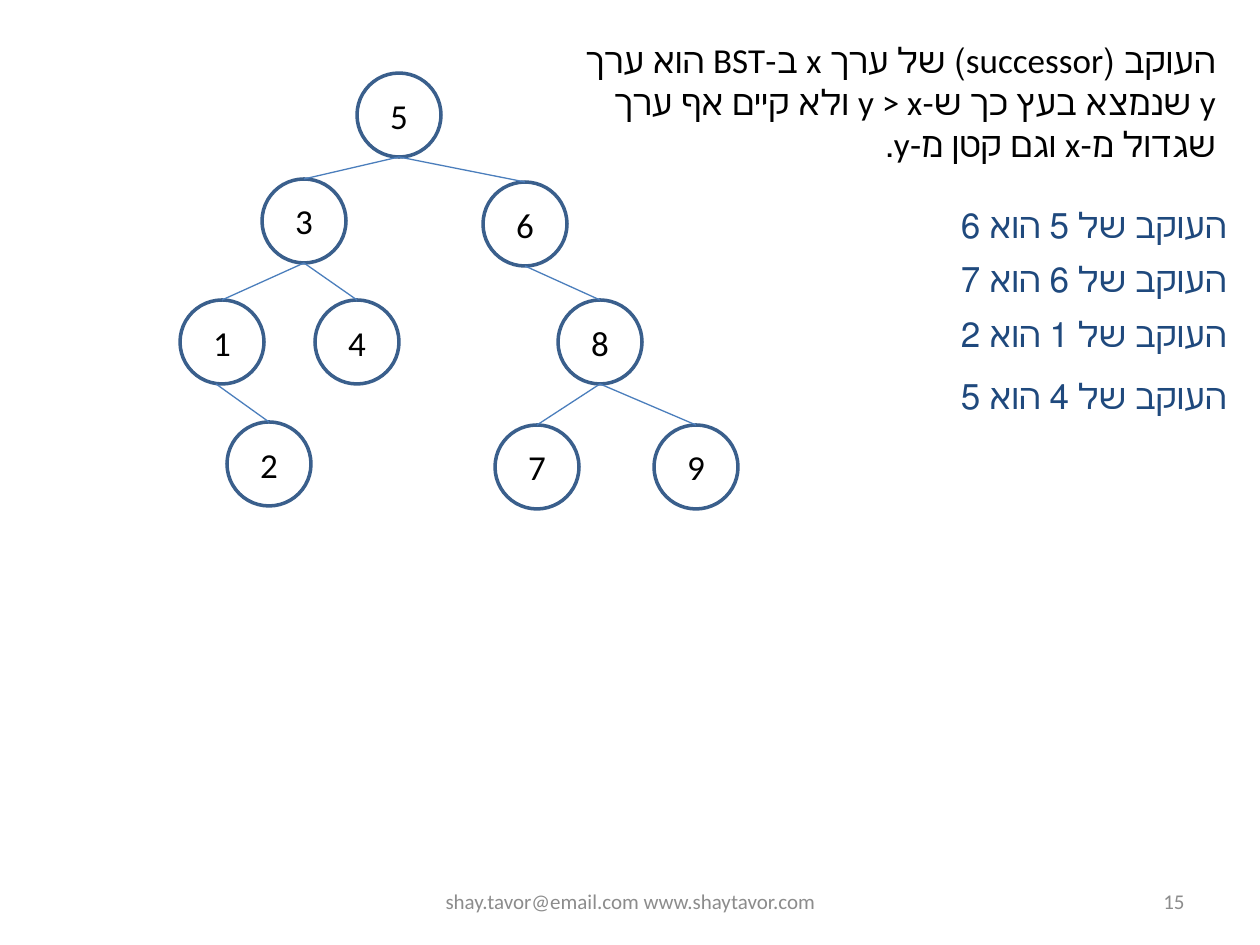
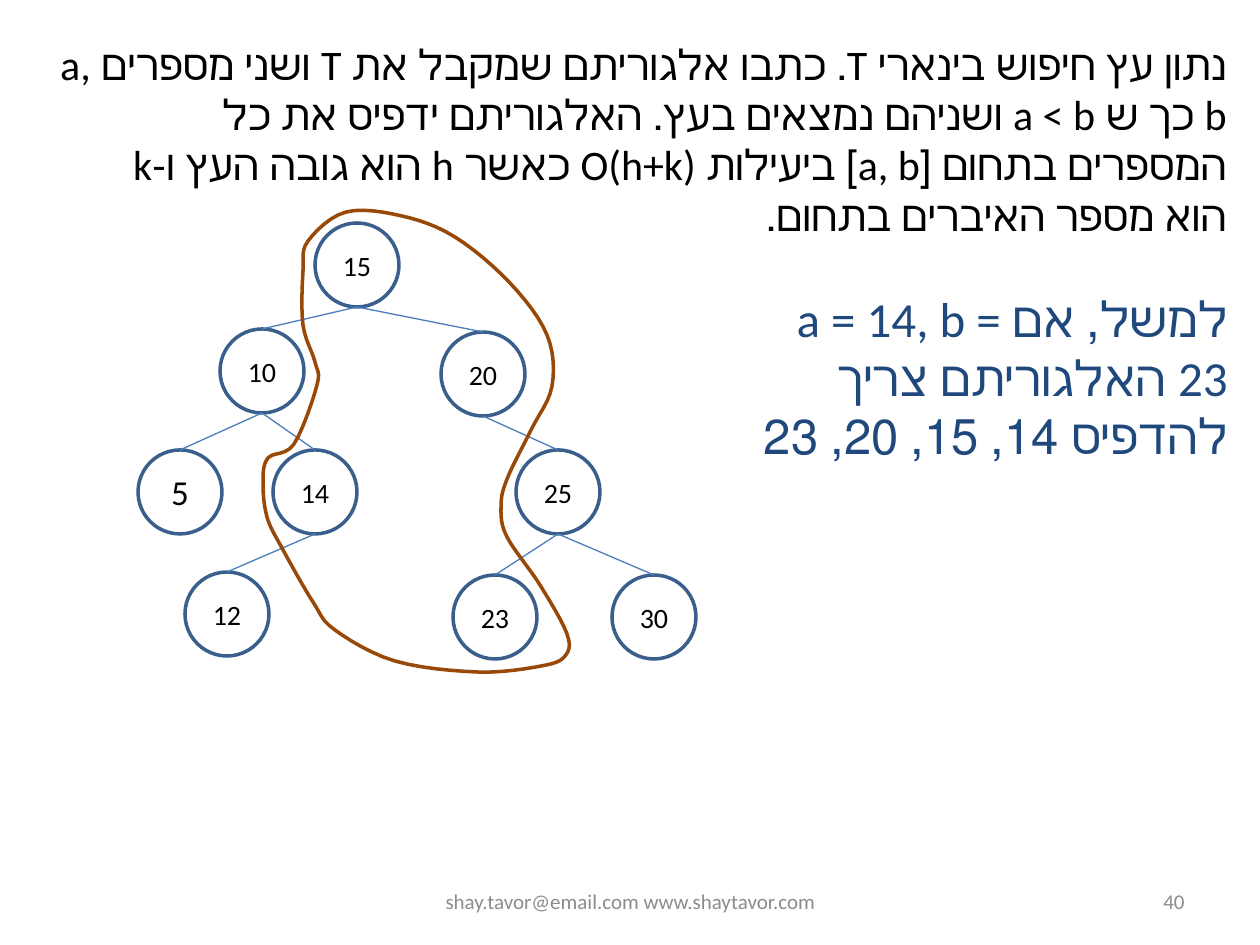
from lxml import etree
from pptx import Presentation
from pptx.dml.color import RGBColor
from pptx.enum.shapes import MSO_CONNECTOR, MSO_SHAPE
from pptx.enum.text import MSO_ANCHOR, MSO_AUTO_SIZE, PP_ALIGN
from pptx.oxml.ns import qn
from pptx.util import Pt

EMU_PER_PX = 914400 / 126
OVAL = MSO_SHAPE.OVAL
STRAIGHT = MSO_CONNECTOR.STRAIGHT
TOP, MIDDLE = MSO_ANCHOR.TOP, MSO_ANCHOR.MIDDLE
CENTER, RIGHT = PP_ALIGN.CENTER, PP_ALIGN.RIGHT
GROW = MSO_AUTO_SIZE.SHAPE_TO_FIT_TEXT

FONT = "Calibri"
BLACK, GREY, NAVY = "000000", "8C8C8C", "1F497D"
NODE_LINE, EDGE_LINE, LOOP_LINE = "3A5F8C", "4B7EBC", "984807"
FOOTER = "shay.tavor@email.com www.shaytavor.com"

NODE_SIZE = 84
NODE_SPOTS = {
    "root": (177, 0),
    "left": (82, 106),
    "right": (303, 109),
    "left_left": (0, 227),
    "left_right": (135, 227),
    "right_right": (378, 227),
    "low": (47, 349),
    "low_left": (315, 352),
    "low_right": (474, 352),
}
EDGES = [
    ("root", "left"), ("root", "right"),
    ("left", "left_left"), ("left", "left_right"),
    ("right", "right_right"),
    ("right_right", "low_left"), ("right_right", "low_right"),
]

LOOP_SIDES = {
    "over_root": [(45, 29), (83, 0), (139, 4), (192, 25)],
    "right_of_20": [(247, 71), (284, 123), (289, 174), (268, 218)],
    "left_of_25": [(244, 267), (238, 295), (244, 325)],
    "right_of_23": [(277, 373), (304, 422), (302, 444)],
    "under_23": [(278, 454), (215, 460), (132, 449), (72, 418)],
    "left_of_14": [(50, 390), (19, 336), (4, 305), (0, 270), (5, 246)],
    "right_of_10": [(31, 232), (54, 173), (52, 150), (40, 113), (40, 59)],
}
STEPS_PER_CURVE = 6


def px(*lengths):
    return [round(n * EMU_PER_PX) for n in lengths]


def rgb(value):
    return RGBColor.from_string(value)


def write(sp, text, size=20, color=BLACK, align=CENTER, anchor=MIDDLE, rtl=False):
    tf = sp.text_frame
    tf.word_wrap = True
    tf.vertical_anchor = anchor
    p = tf.paragraphs[0]
    p.alignment = align
    if rtl:
        p._p.get_or_add_pPr().set("rtl", "1")
    for i, line in enumerate(text.split("\n")):
        if i:
            p.add_line_break()
        r = p.add_run()
        r.text = line
        r.font.name = FONT
        r.font.size = Pt(size)
        r.font.color.rgb = rgb(color)


def outline(sp, color):
    sp.shadow.inherit = False
    sp.fill.background()
    sp.line.color.rgb = rgb(color)
    sp.line.width = Pt(2)


def add_hebrew(s, box, text, size=20, color=BLACK):
    sp = s.shapes.add_textbox(*px(*box))
    write(sp, text, size, color, RIGHT, TOP, rtl=True)
    sp.text_frame.auto_size = GROW


def add_footer(s, number):
    write(s.shapes.add_textbox(*px(431, 876, 399, 50)), FOOTER, 12, GREY)
    write(s.shapes.add_textbox(*px(903, 876, 294, 50)), str(number), 12, GREY, RIGHT)


def add_node(s, x, y, label):
    sp = s.shapes.add_shape(OVAL, *px(x, y, NODE_SIZE, NODE_SIZE))
    outline(sp, NODE_LINE)
    write(sp, label, 20 if len(label) == 1 else 16)
    tf = sp.text_frame
    tf.margin_left = tf.margin_right = 0


def add_edge(s, x1, y1, x2, y2):
    line = s.shapes.add_connector(STRAIGHT, *px(x1, y1, x2, y2))
    line.line.color.rgb = rgb(EDGE_LINE)
    line.line.width = Pt(0.75)
    etree.SubElement(line._element.spPr, qn("a:effectLst"))


def add_tree(s, left, top, labels, low_parent, low_shift=0):
    half = NODE_SIZE // 2
    for spot, (x, y) in NODE_SPOTS.items():
        add_node(s, left + x, top + y, labels[spot])
    for parent, child in EDGES + [(low_parent, "low")]:
        x1, y1 = NODE_SPOTS[parent]
        x2, y2 = NODE_SPOTS[child]
        shift = low_shift if child == "low" else 0
        add_edge(s, left + x1 + half + shift, top + y1 + NODE_SIZE,
                 left + x2 + half, top + y2)


def catmull_rom(before, start, end, after, t):
    return (start + (end - before) * t / 2
            + (2 * before - 5 * start + 4 * end - after) * t ** 2 / 2
            + (3 * start - before - 3 * end + after) * t ** 3 / 2)


def smooth_closed_curve(anchors):
    count = len(anchors)
    points = []
    for i in range(count):
        neighbours = [anchors[(i + k) % count] for k in (-1, 0, 1, 2)]
        xs, ys = zip(*neighbours)
        for step in range(STEPS_PER_CURVE):
            t = step / STEPS_PER_CURVE
            points.append((catmull_rom(*xs, t), catmull_rom(*ys, t)))
    return points


def add_range_loop(s, left, top):
    anchors = [(left + x, top + y) for side in LOOP_SIDES.values() for x, y in side]
    start, *rest = [px(x, y) for x, y in smooth_closed_curve(anchors)]
    builder = s.shapes.build_freeform(*start)
    builder.add_line_segments(rest, close=True)
    outline(builder.convert_to_shape(), LOOP_LINE)


def successor_slide(s):
    add_footer(s, 15)
    labels = dict(root="5", left="3", right="6", left_left="1", left_right="4",
                  right_right="8", low="2", low_left="7", low_right="9")
    add_tree(s, 180, 73, labels, "left_left", low_shift=-6)
    add_hebrew(s, (567, 32, 661, 140),
               "העוקב (successor) של ערך x ב-BST הוא ערך y שנמצא בעץ כך ש-y > x "
               "ולא קיים אף ערך שגדול מ-x וגם קטן מ-y.")
    for top, value, successor in [(197, 5, 6), (251, 6, 7), (306, 1, 2), (368, 4, 5)]:
        add_hebrew(s, (578, top, 661, 55), f"העוקב של {value} הוא {successor}", color=NAVY)


def range_slide(s):
    add_footer(s, 40)
    add_hebrew(s, (42, 32, 1197, 217),
               "נתון עץ חיפוש בינארי T. כתבו אלגוריתם שמקבל את T ושני מספרים a, b "
               "כך ש a < b ושניהם נמצאים בעץ. האלגוריתם ידפיס את כל המספרים בתחום "
               "[a, b] ביעילות O(h+k) כאשר h הוא גובה העץ ו-k\nהוא מספר האיברים בתחום.",
               size=24)
    labels = dict(root="15", left="10", right="20", left_left="5", left_right="14",
                  right_right="25", low="12", low_left="23", low_right="30")
    add_tree(s, 138, 223, labels, "left_right")
    add_hebrew(s, (736, 282, 504, 190),
               "למשל, אם a = 14, b = 23 האלגוריתם צריך להדפיס 14, 15, 20, 23",
               size=28, color=NAVY)
    add_range_loop(s, 263, 212)


def main():
    prs = Presentation()
    prs.slide_width, prs.slide_height = px(1260, 945)
    for build in (successor_slide, range_slide):
        build(prs.slides.add_slide(prs.slide_layouts[6]))
    prs.save("out.pptx")


if __name__ == "__main__":
    main()
